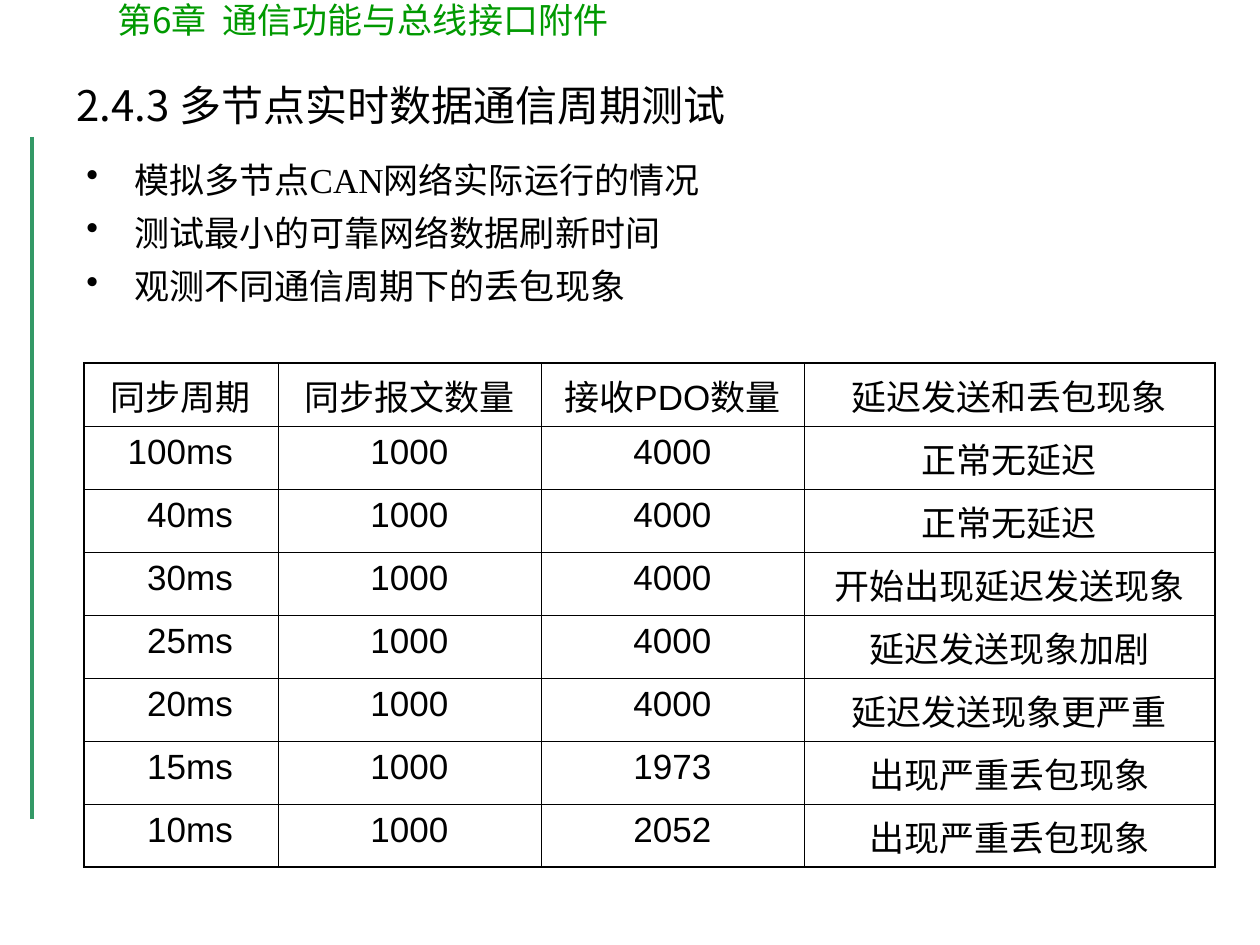
from dataclasses import dataclass

from lxml import etree
from pptx import Presentation
from pptx.dml.color import RGBColor
from pptx.enum.shapes import MSO_CONNECTOR
from pptx.enum.text import MSO_ANCHOR, PP_ALIGN
from pptx.oxml.ns import qn
from pptx.util import Emu, Pt

LEFT, CENTER, RIGHT = PP_ALIGN.LEFT, PP_ALIGN.CENTER, PP_ALIGN.RIGHT
MIDDLE, TOP = MSO_ANCHOR.MIDDLE, MSO_ANCHOR.TOP
STRAIGHT = MSO_CONNECTOR.STRAIGHT
EMU_PER_PX = 914400 / 126
TITLE_ONLY = 5


@dataclass(frozen=True)
class Theme:
    ink: str = "000000"
    chapter: str = "009900"
    rule: str = "339966"
    cjk: str = "Noto Sans CJK SC"
    serif: str = "Times New Roman"
    sans: str = "Arial"
    title_size: int = 24
    text_size: int = 20
    rule_width: float = 2.25
    outer_border: float = 1.08
    inner_border: float = 0.45


THEME = Theme()

CHAPTER = "第6章  通信功能与总线接口附件"
TITLE = "2.4.3 多节点实时数据通信周期测试"
GOALS = [
    "模拟多节点CAN网络实际运行的情况",
    "测试最小的可靠网络数据刷新时间",
    "观测不同通信周期下的丢包现象",
]
RESULTS = [
    ("同步周期", "同步报文数量", "接收PDO数量", "延迟发送和丢包现象"),
    ("100ms", "1000", "4000", "正常无延迟"),
    ("40ms", "1000", "4000", "正常无延迟"),
    ("30ms", "1000", "4000", "开始出现延迟发送现象"),
    ("25ms", "1000", "4000", "延迟发送现象加剧"),
    ("20ms", "1000", "4000", "延迟发送现象更严重"),
    ("15ms", "1000", "1973", "出现严重丢包现象"),
    ("10ms", "1000", "2052", "出现严重丢包现象"),
]
COLUMN_WIDTHS = [194, 263, 263, 411]
ROW_HEIGHT = 63
PERIOD_RIGHT_MARGIN = 45


def px(length):
    return Emu(round(length * EMU_PER_PX))


def style_paragraph(paragraph, latin, size, color, align=LEFT):
    paragraph.alignment = align
    for run in paragraph.runs:
        run.font.name = latin
        run.font.size = Pt(size)
        run.font.color.rgb = RGBColor.from_string(color)
        etree.SubElement(run._r.get_or_add_rPr(), qn("a:ea"), typeface=THEME.cjk)


def add_rule(slide, x, top, bottom):
    rule = slide.shapes.add_connector(STRAIGHT, px(x), px(top), px(x), px(bottom))
    rule.line.color.rgb = RGBColor.from_string(THEME.rule)
    rule.line.width = Pt(THEME.rule_width)
    etree.SubElement(rule._element.spPr, qn("a:effectLst"))


def add_chapter(slide, left, top, width, height):
    frame = slide.shapes.add_textbox(px(left), px(top), px(width), px(height)).text_frame
    frame.word_wrap = True
    frame.text = CHAPTER
    style_paragraph(frame.paragraphs[0], THEME.cjk, THEME.text_size, THEME.chapter)


def set_title(slide, left, top, width, height):
    title = slide.shapes.title
    title.left, title.top, title.width, title.height = map(px, (left, top, width, height))
    title.text_frame.text = TITLE
    title.text_frame.vertical_anchor = MIDDLE
    style_paragraph(title.text_frame.paragraphs[0], THEME.cjk, THEME.title_size, THEME.ink)


def add_bullet(paragraph, indent):
    properties = paragraph._p.get_or_add_pPr()
    properties.set("marL", str(px(indent)))
    properties.set("indent", str(-px(indent)))
    etree.SubElement(properties, qn("a:buChar"), char="•")


def add_goals(slide, left, top, width, height):
    frame = slide.shapes.add_textbox(px(left), px(top), px(width), px(height)).text_frame
    frame.word_wrap = True
    frame.text = "\n".join(GOALS)
    for index, paragraph in enumerate(frame.paragraphs):
        add_bullet(paragraph, 48)
        paragraph.line_spacing = 1.1
        if index:
            paragraph.space_before = Pt(4)
        style_paragraph(paragraph, THEME.serif, THEME.text_size, THEME.ink)


def set_borders(cell, outer_sides):
    properties = cell._tc.get_or_add_tcPr()
    for side in "LRTB":
        width = THEME.outer_border if side in outer_sides else THEME.inner_border
        line = etree.SubElement(properties, qn(f"a:ln{side}"), w=str(Pt(width)))
        fill = etree.SubElement(line, qn("a:solidFill"))
        etree.SubElement(fill, qn("a:srgbClr"), val=THEME.ink)


def find_outer_sides(row, column):
    edges = {
        "L": column == 0,
        "R": column == len(COLUMN_WIDTHS) - 1,
        "T": row == 0,
        "B": row == len(RESULTS) - 1,
    }
    return [side for side, is_outer in edges.items() if is_outer]


def add_results(slide, left, top):
    table = slide.shapes.add_table(
        len(RESULTS), len(COLUMN_WIDTHS), px(left), px(top),
        px(sum(COLUMN_WIDTHS)), px(ROW_HEIGHT * len(RESULTS)),
    ).table
    table.first_row = table.horz_banding = False
    for column, width in zip(table.columns, COLUMN_WIDTHS):
        column.width = px(width)
    for row, values in enumerate(RESULTS):
        table.rows[row].height = px(ROW_HEIGHT)
        for column, value in enumerate(values):
            cell = table.cell(row, column)
            is_period = row > 0 and column == 0
            cell.text_frame.text = value
            cell.vertical_anchor = TOP
            if is_period:
                cell.margin_right = px(PERIOD_RIGHT_MARGIN)
            set_borders(cell, find_outer_sides(row, column))
            cell.fill.background()
            style_paragraph(cell.text_frame.paragraphs[0], THEME.sans, THEME.text_size,
                            THEME.ink, RIGHT if is_period else CENTER)


def main():
    deck = Presentation()
    deck.slide_width, deck.slide_height = px(1260), px(945)
    slide = deck.slides.add_slide(deck.slide_layouts[TITLE_ONLY])
    add_rule(slide, 32, 137, 819)
    add_chapter(slide, 105, -8, 725, 55)
    set_title(slide, 64, 35, 987, 139)
    add_goals(slide, 74, 148, 1134, 199)
    add_results(slide, 84, 363)
    deck.save("out.pptx")


if __name__ == "__main__":
    main()
